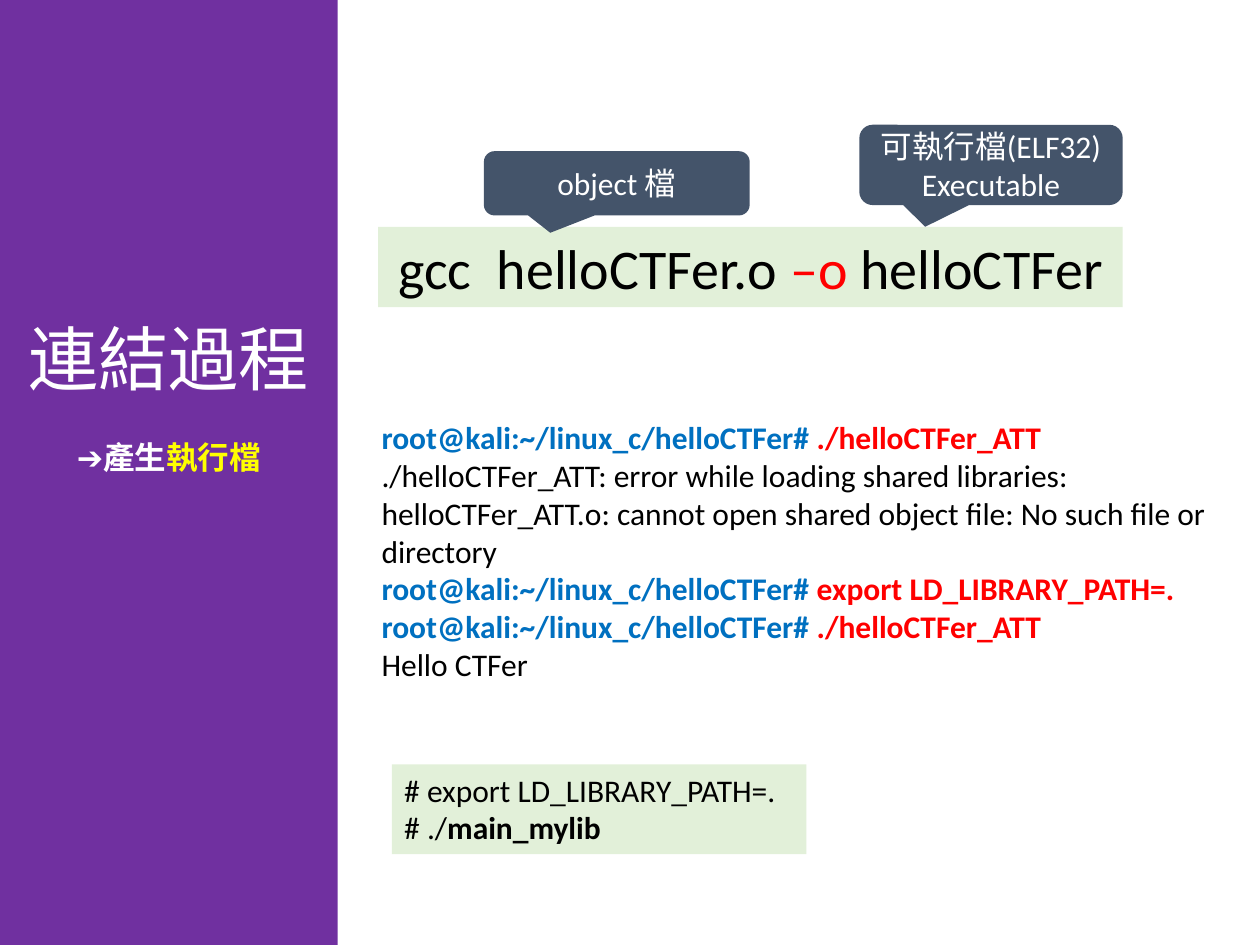
"""Build the slide on linking an object file into an executable."""
from pptx import Presentation
from pptx.dml.color import RGBColor
from pptx.enum.shapes import MSO_SHAPE as Shape
from pptx.enum.text import MSO_ANCHOR as Anchor, MSO_AUTO_SIZE as AutoSize, PP_ALIGN as Align
from pptx.util import Inches, Pt

PURPLE, GREEN, SLATE = "7030A0", "E2F0D9", "44546A"
BLACK, WHITE, RED, BLUE, YELLOW = "000000", "FFFFFF", "FF0000", "0070C0", "FFFF00"
PROMPT = ("root@kali:~/linux_c/helloCTFer# ", BLUE, True)


def paint(target, color):
    """Give a shape a solid fill in a hex colour."""
    target.fill.solid()
    target.fill.fore_color.rgb = RGBColor.from_string(color)


def write(text_frame, lines, size, align):
    """Write lines of (text, colour, bold) runs."""
    for index, line in enumerate(lines):
        paragraph = text_frame.paragraphs[0] if index == 0 else text_frame.add_paragraph()
        paragraph.alignment = align
        for text, color, bold in line:
            run = paragraph.add_run()
            run.text = text
            run.font.name = "Calibri"
            run.font.size = Pt(size)
            run.font.bold = bold
            run.font.color.rgb = RGBColor.from_string(color)


presentation = Presentation()
presentation.slide_width, presentation.slide_height = Inches(10), Inches(7.5)
column = presentation.slide_width / 100
row = presentation.slide_height / 100
slide = presentation.slides.add_slide(presentation.slide_layouts[5])

sidebar = slide.shapes.title
sidebar.left, sidebar.top = 0, 0
sidebar.width, sidebar.height = int(26.8 * column), int(100 * row)
paint(sidebar, PURPLE)
sidebar_text = sidebar.text_frame
sidebar_text.auto_size = AutoSize.NONE
sidebar_text.word_wrap = True
sidebar_text.vertical_anchor = Anchor.MIDDLE
sidebar_text.margin_bottom = Inches(1.27)
write(sidebar_text, [
    [("連結過程", WHITE, False)],
    [("➔產生", WHITE, True), ("執行檔", YELLOW, True)],
], 18, Align.CENTER)
heading, subheading = sidebar_text.paragraphs
heading.runs[0].font.size = Pt(40)
subheading.space_before = Pt(22)

command = [[("gcc  helloCTFer.o ", BLACK, False), ("–o ", RED, False), ("helloCTFer", BLACK, False)]]
executable = [[("可執行檔(ELF32)", WHITE, False)], [("Executable", WHITE, False)]]
object_file = [[("object 檔", WHITE, False)]]
library_run = [
    [("# export LD_LIBRARY_PATH=.", BLACK, False)],
    [("# ./", BLACK, False), ("main_mylib", BLACK, True)],
]

boxes = [
    (Shape.RECTANGLE, (30, 24, 59.1, 8.5), GREEN, command, 32),
    (Shape.ROUNDED_RECTANGULAR_CALLOUT, (68.2, 13.2, 20.9, 8.5), SLATE, executable, 18),
    (Shape.ROUNDED_RECTANGULAR_CALLOUT, (38.4, 16, 21.1, 6.8), SLATE, object_file, 18),
    (Shape.RECTANGLE, (31.1, 80.9, 32.9, 9.5), GREEN, library_run, 18),
]
for kind, (left, top, width, height), color, lines, size in boxes:
    shape = slide.shapes.add_shape(
        kind, int(left * column), int(top * row), int(width * column), int(height * row))
    shape.shadow.inherit = False
    paint(shape, color)
    shape.line.fill.background()
    text_frame = shape.text_frame
    is_callout = kind == Shape.ROUNDED_RECTANGULAR_CALLOUT
    if is_callout:
        shape.adjustments[0], shape.adjustments[1] = -0.25, 0.77
    text_frame.vertical_anchor = Anchor.MIDDLE if is_callout else Anchor.TOP
    text_frame.word_wrap = lines is not command
    if lines is command:
        text_frame.margin_left = Inches(0.16)
    write(text_frame, lines, size, Align.CENTER if is_callout else Align.LEFT)

terminal = slide.shapes.add_textbox(
    int(29.3 * column), int(43.6 * row), int(67.7 * column), int(29.6 * row))
terminal.text_frame.word_wrap = True
write(terminal.text_frame, [
    [PROMPT, ("./helloCTFer_ATT", RED, True)],
    [("./helloCTFer_ATT: error while loading shared libraries: helloCTFer_ATT.o: "
      "cannot open shared object file: No such file or directory", BLACK, False)],
    [PROMPT, ("export LD_LIBRARY_PATH=.", RED, True)],
    [PROMPT, ("./helloCTFer_ATT", RED, True)],
    [("Hello CTFer", BLACK, False)],
], 18, Align.LEFT)

presentation.save("out.pptx")
